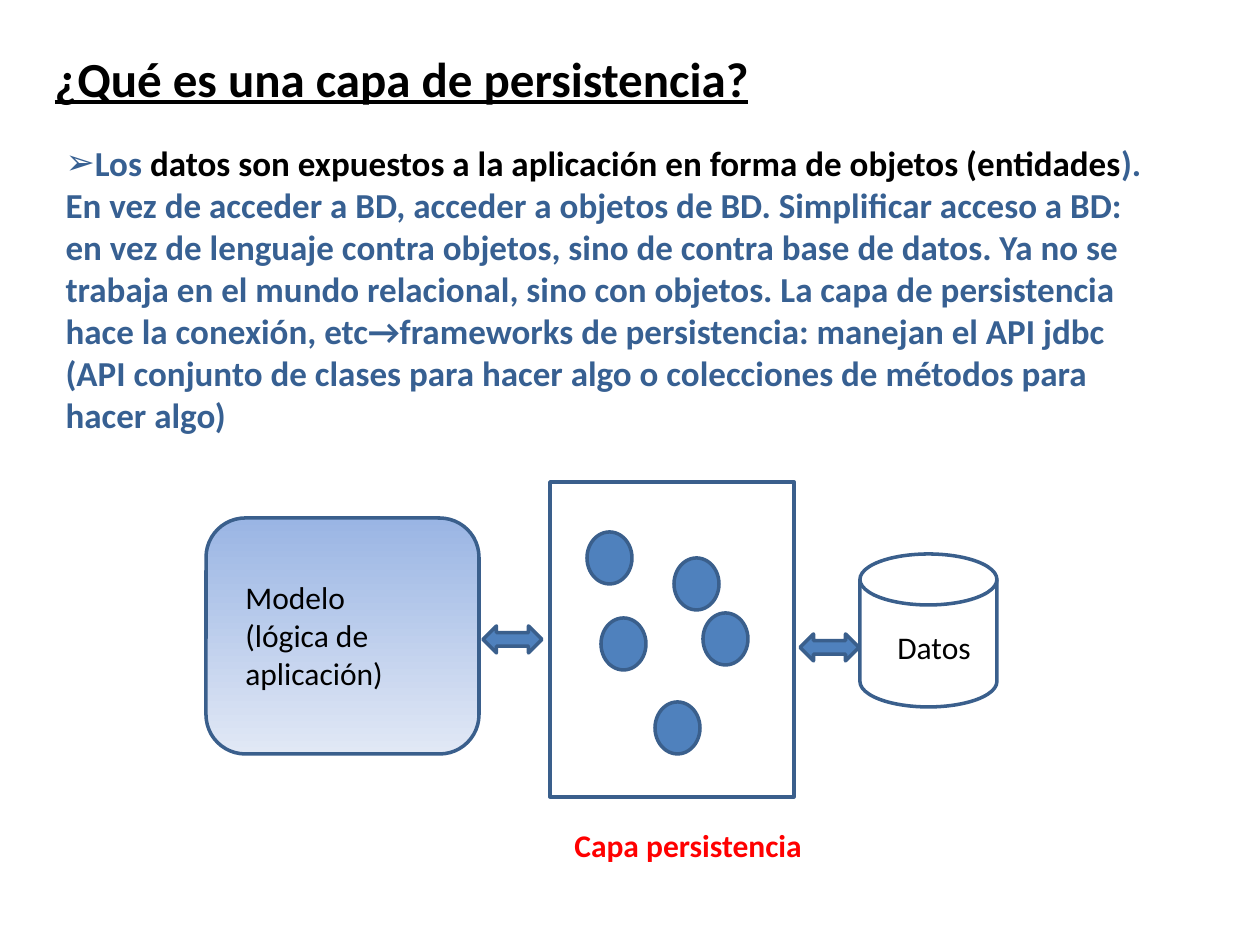
from lxml import etree
from pptx import Presentation
from pptx.dml.color import RGBColor
from pptx.enum.shapes import MSO_SHAPE
from pptx.enum.text import MSO_ANCHOR, MSO_AUTO_SIZE, PP_ALIGN
from pptx.oxml.ns import qn
from pptx.util import Emu, Inches, Pt

PX = 914400 // 126
FONT = "Calibri"
BLACK = RGBColor(0x00, 0x00, 0x00)
RED = RGBColor(0xFF, 0x00, 0x00)
TEXT_BLUE = RGBColor(0x37, 0x60, 0x92)
FILL_BLUE = RGBColor(0x4F, 0x81, 0xBD)
LINE_BLUE = RGBColor(0x3A, 0x5F, 0x8C)
MODEL_GRADIENT = (RGBColor(0x9A, 0xB5, 0xE4), RGBColor(0xE1, 0xE8, 0xF5))

# Content; boxes are left, top, width, height in pixels
TITLE = "¿Qué es una capa de persistencia?"
TITLE_BOX = (42, 24, 1123, 107)
BODY_BOX = (53, 135, 1111, 228)
BODY = [
    ("Los ", TEXT_BLUE),
    ("datos son expuestos a la aplicación en forma de objetos (entidades", BLACK),
    ("). En vez de acceder a BD, acceder a objetos de BD. Simplificar acceso a BD: "
     "en vez de lenguaje contra objetos, sino de contra base de datos. Ya no se "
     "trabaja en el mundo relacional, sino con objetos. La capa de persistencia "
     "hace la conexión, etc→frameworks de persistencia: manejan el API jdbc "
     "(API conjunto de clases para hacer algo o colecciones de métodos para "
     "hacer algo)", TEXT_BLUE),
]
MODEL_BOX = (206, 518, 273, 236)
DATA_BOX = (860, 554, 137, 153)
LAYER_BOX = (550, 482, 244, 315)
ENTITY_SIZE = (45, 52)
ENTITIES = [(587, 532), (601, 618), (674, 558), (703, 613), (655, 702)]
ARROW_SIZE = (59, 27)
ARROWS = [(483, 626), (800, 634)]
LABELS = [
    ((233, 572, 218, 127), ["Modelo", "(lógica de aplicación)"], BLACK, False),
    ((885, 622, 106, 50), ["Datos"], BLACK, False),
    ((562, 820, 312, 50), ["Capa persistencia"], RED, True),
]


def emu(box):
    return [Emu(v * PX) for v in box]


def place(shape, box):
    shape.left, shape.top, shape.width, shape.height = emu(box)


def add_run(paragraph, text, size, color, bold=False):
    run = paragraph.add_run()
    run.text = text
    run.font.name, run.font.size, run.font.bold = FONT, Pt(size), bold
    run.font.color.rgb = color
    return run


def add_outlined(kind, box, fill=None):
    shape = slide.shapes.add_shape(kind, *emu(box))
    shape.shadow.inherit = False
    shape.line.color.rgb = LINE_BLUE
    shape.line.width = Pt(2)
    if fill is None:
        shape.fill.background()
    else:
        shape.fill.solid()
        shape.fill.fore_color.rgb = fill
    return shape


def add_label(box, lines, color, bold):
    frame = slide.shapes.add_textbox(*emu(box)).text_frame
    frame.word_wrap = True
    frame.auto_size = MSO_AUTO_SIZE.SHAPE_TO_FIT_TEXT
    for i, line in enumerate(lines):
        paragraph = frame.add_paragraph() if i else frame.paragraphs[0]
        add_run(paragraph, line, 18, color, bold)


prs = Presentation()
prs.slide_width, prs.slide_height = Inches(10), Inches(7.5)
slide = prs.slides.add_slide(prs.slide_layouts[1])

# Title
title = slide.shapes.title
place(title, TITLE_BOX)
title.text_frame.vertical_anchor = MSO_ANCHOR.MIDDLE
heading = title.text_frame.paragraphs[0]
heading.alignment = PP_ALIGN.LEFT
add_run(heading, TITLE, 28, BLACK, True).font.underline = True

# Bulleted paragraph
body = slide.placeholders[1]
place(body, BODY_BOX)
body.text_frame.auto_size = MSO_AUTO_SIZE.NONE
paragraph = body.text_frame.paragraphs[0]
paragraph.space_before, paragraph.space_after = Pt(6), Pt(12)
for text, color in BODY:
    add_run(paragraph, text, 20, color, True)
props = paragraph.runs[0].font and paragraph._p.get_or_add_pPr()
props.set("marL", "0")
props.set("indent", "0")
etree.SubElement(props, qn("a:buFont")).set("typeface", "Wingdings 2")
props.remove(props[-1])
etree.SubElement(props, qn("a:buChar")).set("char", "➢")

# Model, data store and persistence layer
model = add_outlined(MSO_SHAPE.ROUNDED_RECTANGLE, MODEL_BOX)
model.fill.gradient()
model.fill.gradient_angle = 270
for stop, color in zip(model.fill.gradient_stops, MODEL_GRADIENT):
    stop.color.rgb = color
add_outlined(MSO_SHAPE.FLOWCHART_MAGNETIC_DISK, DATA_BOX)
for corner in ENTITIES:
    add_outlined(MSO_SHAPE.OVAL, corner + ENTITY_SIZE, FILL_BLUE)
add_outlined(MSO_SHAPE.RECTANGLE, LAYER_BOX)

# Arrows and labels
for corner in ARROWS:
    add_outlined(MSO_SHAPE.LEFT_RIGHT_ARROW, corner + ARROW_SIZE, FILL_BLUE)
for label in LABELS:
    add_label(*label)

prs.save("out.pptx")
